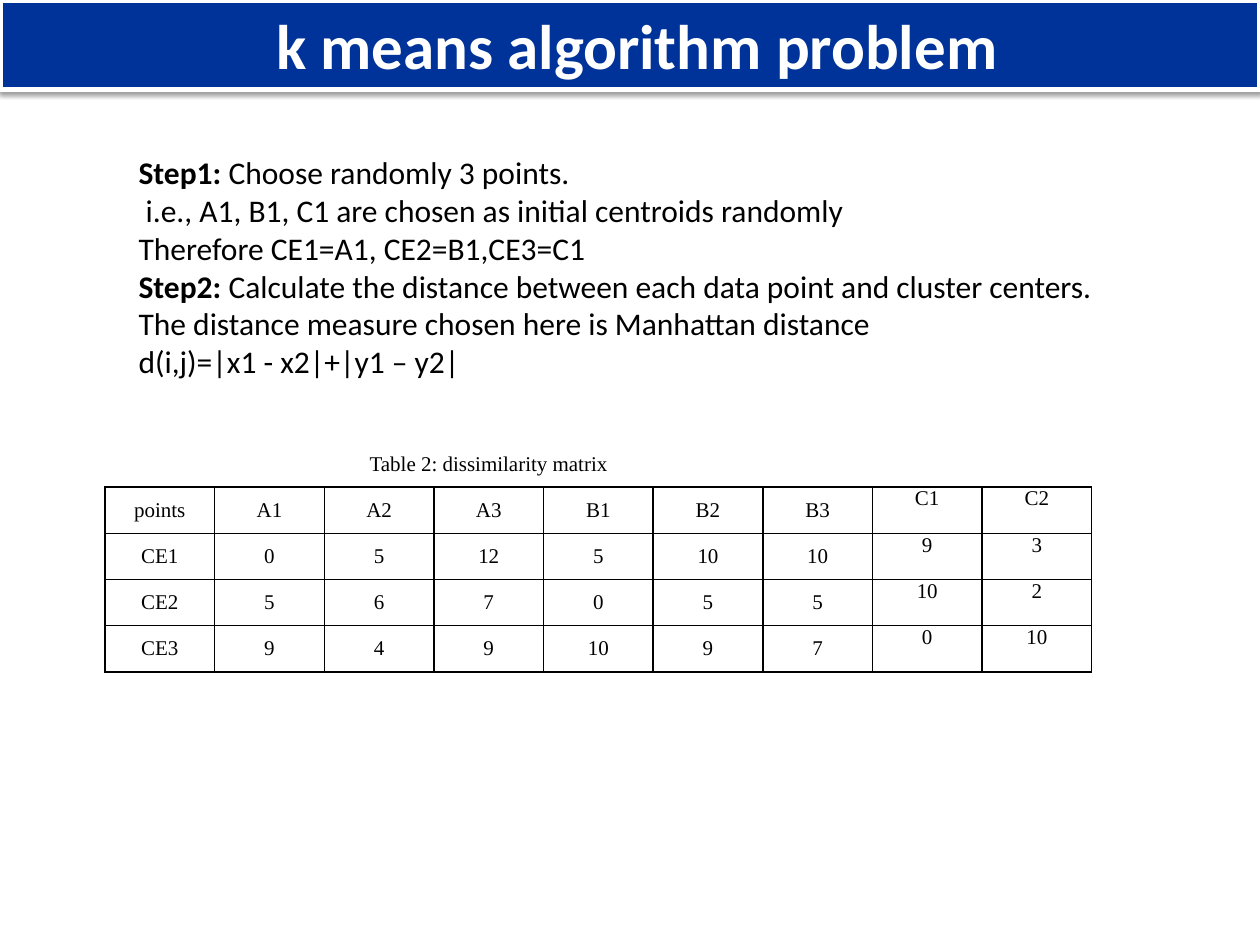
"""Build the slide on the k means algorithm problem."""
from dataclasses import dataclass

from lxml import etree
from pptx import Presentation
from pptx.dml.color import RGBColor
from pptx.enum.text import MSO_ANCHOR, MSO_AUTO_SIZE, PP_ALIGN
from pptx.oxml import parse_xml
from pptx.oxml.ns import nsdecls, qn
from pptx.util import Pt

CENTER, LEFT = PP_ALIGN.CENTER, PP_ALIGN.LEFT
TOP, MIDDLE = MSO_ANCHOR.TOP, MSO_ANCHOR.MIDDLE
NO_AUTOFIT = MSO_AUTO_SIZE.NONE
PLAIN_TABLE_STYLE = "{2D5ABB26-0587-4C30-8999-92F81FD0307C}"


@dataclass(frozen=True)
class Theme:
    banner: RGBColor = RGBColor(0x00, 0x33, 0x99)
    light: RGBColor = RGBColor(0xFF, 0xFF, 0xFF)
    ink: RGBColor = RGBColor(0x00, 0x00, 0x00)
    text_font: str = "Calibri"
    table_font: str = "Times New Roman"
    title_size: int = 36
    body_size: int = 18
    table_size: int = 12


class SlideBuilder:
    def __init__(self, slide, theme):
        self.slide = slide
        self.theme = theme

    def place(self, box, left, top, width, height):
        box.left, box.top = Pt(left), Pt(top)
        box.width, box.height = Pt(width), Pt(height)

    def style(self, span, font, size, color, bold=False):
        span.font.name = font
        span.font.size = Pt(size)
        span.font.bold = bold
        span.font.color.rgb = color

    def title(self, text, *bounds):
        theme = self.theme
        box = self.slide.shapes.title
        self.place(box, *bounds)
        box.fill.solid()
        box.fill.fore_color.rgb = theme.banner
        box.line.color.rgb = theme.light
        box.line.width = Pt(3)
        box.element.spPr.append(parse_xml(
            f'<a:effectLst {nsdecls("a")}><a:outerShdw blurRad="{Pt(3.1)}" '
            f'dist="{Pt(1.6)}" dir="5400000" rotWithShape="0"><a:srgbClr val="{theme.ink}">'
            '<a:alpha val="38000"/></a:srgbClr></a:outerShdw></a:effectLst>'))
        frame = box.text_frame
        frame.auto_size = NO_AUTOFIT
        frame.vertical_anchor = MIDDLE
        frame.text = text
        para = frame.paragraphs[0]
        para.alignment = CENTER
        self.style(para.runs[0], theme.text_font, theme.title_size, theme.light, True)

    def body(self, lines, *bounds):
        theme = self.theme
        box = self.slide.placeholders[1]
        self.place(box, *bounds)
        frame = box.text_frame
        frame.auto_size = NO_AUTOFIT
        frame.vertical_anchor = TOP
        frame.text = "\n".join(label + text for label, text in lines)
        for para, (label, text) in zip(frame.paragraphs, lines):
            para.alignment = LEFT
            para.space_before = Pt(0)
            properties = para._p.get_or_add_pPr()
            properties.set("marL", "0")
            properties.set("indent", "0")
            etree.SubElement(properties, qn("a:buNone"))
            span = para.runs[0]
            if label:
                span.text = label
                self.style(span, theme.text_font, theme.body_size, theme.ink, True)
                span = para.add_run()
                span.text = text
            self.style(span, theme.text_font, theme.body_size, theme.ink)

    def borders(self, cell, sides):
        properties = cell._tc.get_or_add_tcPr()
        for position, side in enumerate(sides):
            properties.insert(position, parse_xml(
                f'<a:ln{side} {nsdecls("a")} w="{Pt(1)}"><a:solidFill>'
                f'<a:srgbClr val="{self.theme.ink}"/></a:solidFill></a:ln{side}>'))

    def cell(self, cell, text, anchor, sides):
        self.borders(cell, sides)
        cell.fill.background()
        cell.margin_left = cell.margin_right = Pt(5)
        cell.margin_top = cell.margin_bottom = 0
        cell.vertical_anchor = anchor
        if text:
            cell.text_frame.text = text
            para = cell.text_frame.paragraphs[0]
            para.alignment = CENTER
            self.style(para.runs[0], self.theme.table_font, self.theme.table_size,
                       self.theme.ink)

    def table(self, caption, rows, middle_columns, left, top, column_width, row_height):
        columns = len(rows[0])
        grid = [[caption] + [""] * (columns - 1)] + rows
        table = self.slide.shapes.add_table(
            len(grid), columns, Pt(left), Pt(top),
            Pt(column_width * columns), Pt(row_height * len(grid))).table
        table.first_row = table.horz_banding = False
        table._tbl.tblPr.find(qn("a:tableStyleId")).text = PLAIN_TABLE_STYLE
        for row, values in enumerate(grid):
            for column, text in enumerate(values):
                anchor = MIDDLE if column < middle_columns else TOP
                self.cell(table.cell(row, column), text, anchor, "LRTB" if row else "B")
        table.cell(0, 0).merge(table.cell(0, middle_columns - 1))


def main():
    deck = Presentation()
    deck.slide_width, deck.slide_height = Pt(720), Pt(540)
    page = SlideBuilder(deck.slides.add_slide(deck.slide_layouts[1]), Theme())
    page.title(" k means algorithm problem", 0, 0, 720, 51)
    page.body([
        ("Step1:", " Choose randomly 3 points."),
        ("", " i.e., A1, B1, C1 are chosen as initial centroids randomly"),
        ("", "Therefore CE1=A1, CE2=B1,CE3=C1"),
        ("Step2: ", "Calculate the distance between each data point and cluster centers."),
        ("", "The distance measure chosen here is Manhattan distance"),
        ("", "d(i,j)=|x1 - x2|+|y1 – y2|"),
    ], 72, 84, 582, 160)
    page.table("Table 2: dissimilarity matrix", [
        ["points", "A1", "A2", "A3", "B1", "B2", "B3", "C1", "C2"],
        ["CE1", "0", "5", "12", "5", "10", "10", "9", "3"],
        ["CE2", "5", "6", "7", "0", "5", "5", "10", "2"],
        ["CE3", "9", "4", "9", "10", "9", "7", "0", "10"],
    ], 7, left=60, top=252, column_width=62.65, row_height=26.4)
    deck.save("out.pptx")


if __name__ == "__main__":
    main()
